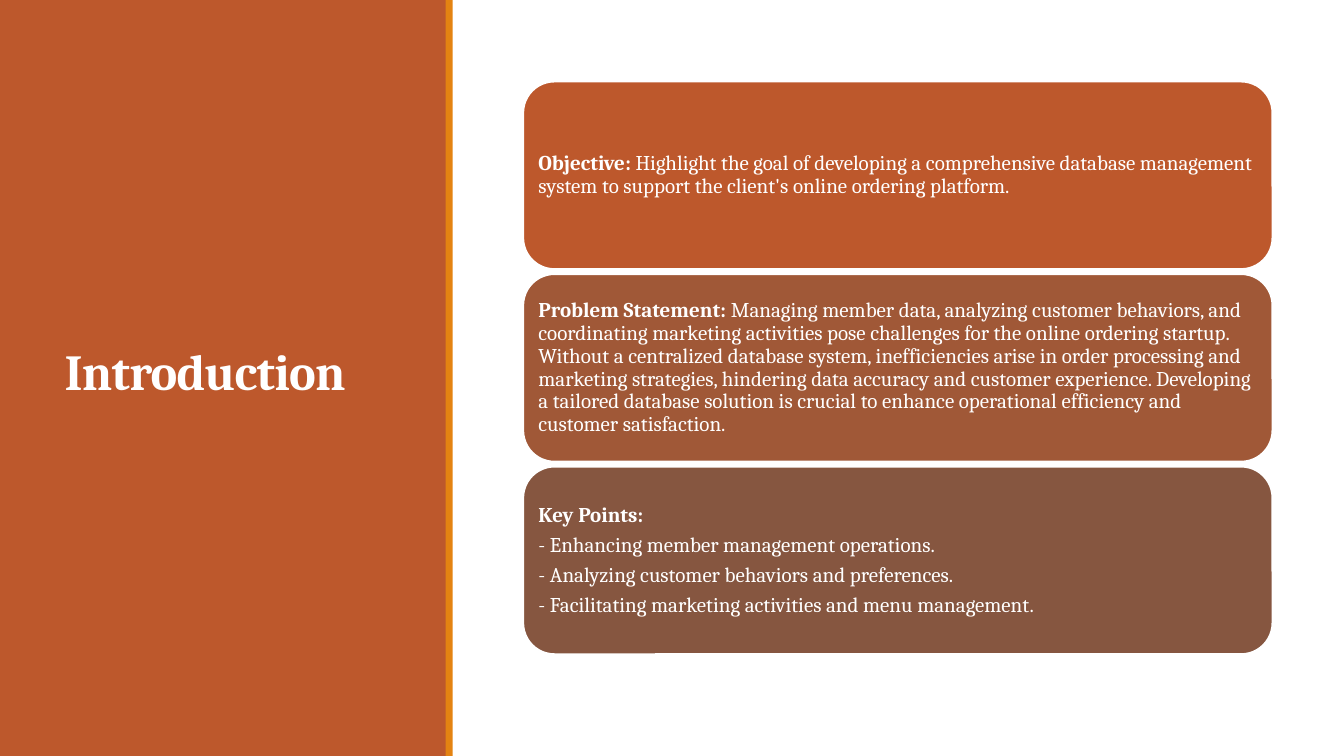
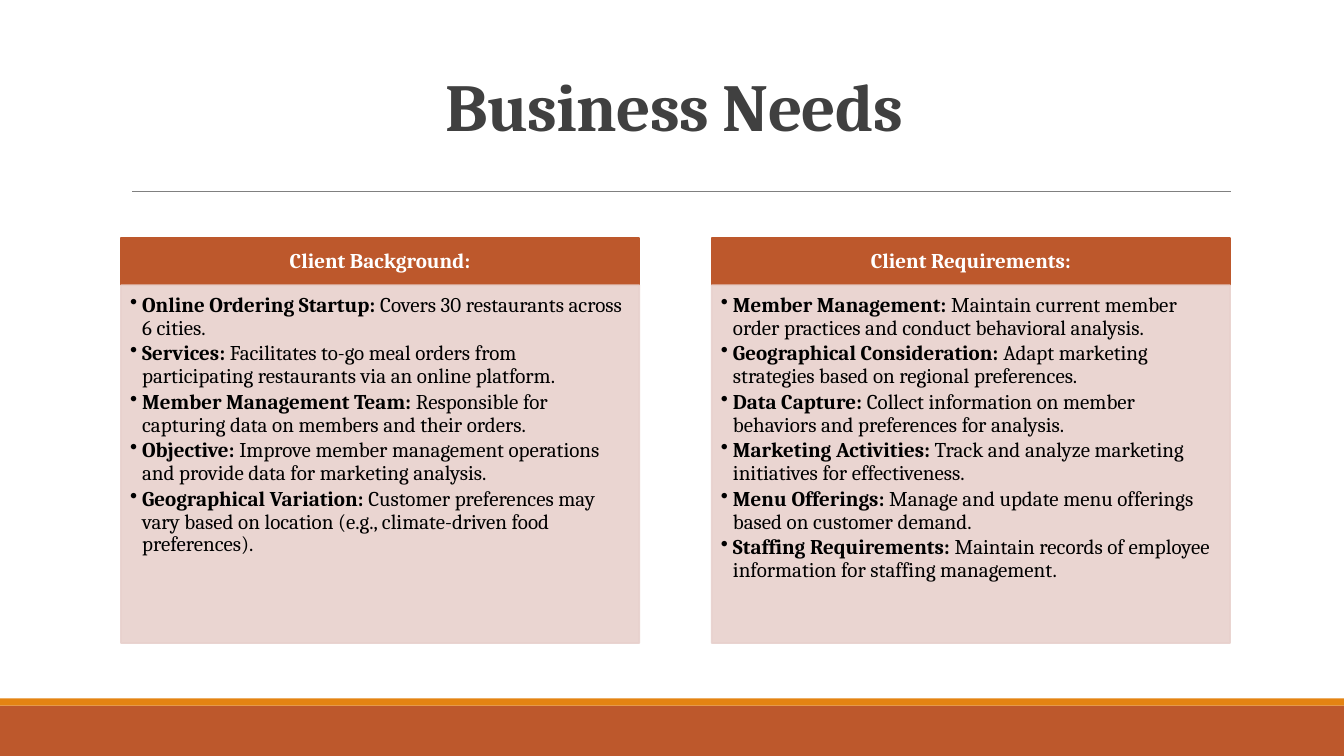
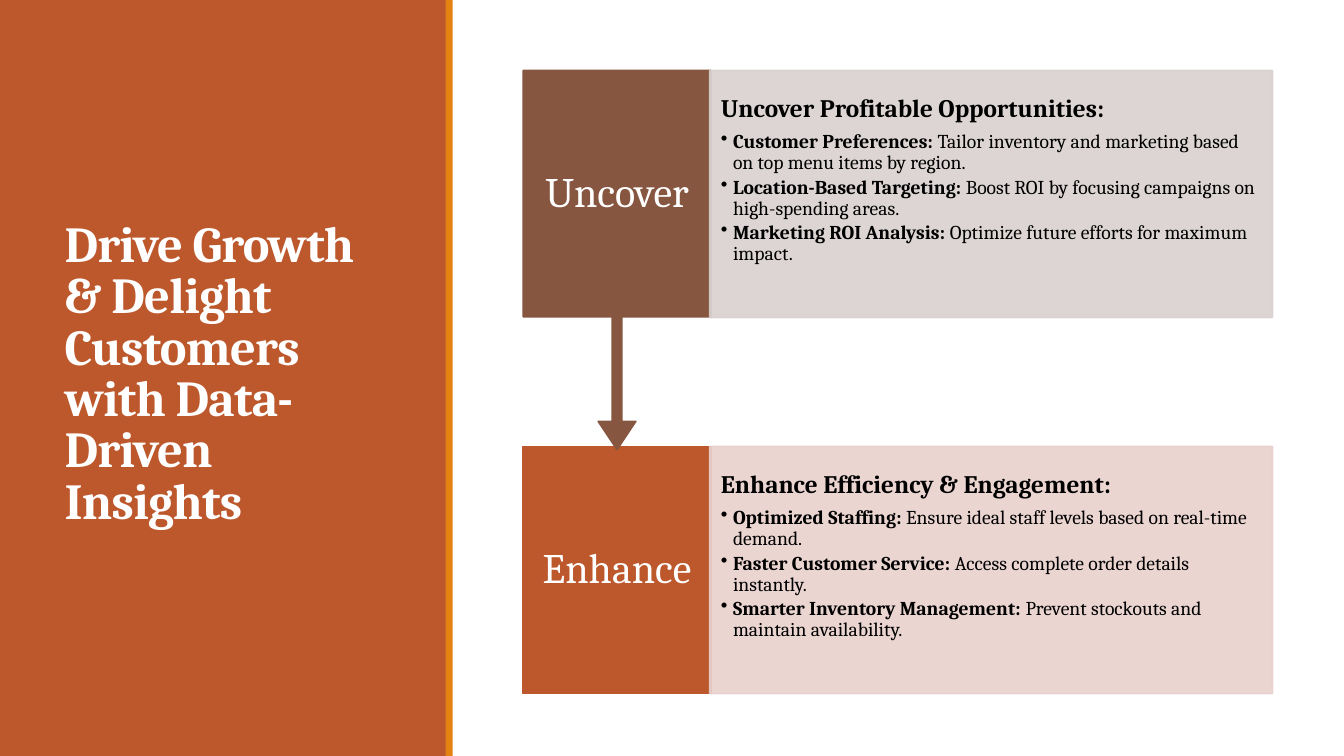
from pptx import Presentation
from pptx.dml.color import RGBColor
from pptx.enum.shapes import MSO_CONNECTOR, MSO_SHAPE as SHAPE
from pptx.enum.text import MSO_ANCHOR as ANCHOR, MSO_AUTO_SIZE, PP_ALIGN as ALIGN
from pptx.oxml.ns import qn
from pptx.util import Inches, Pt
from lxml import etree

FONT = "Cambria"
COLORS = {
    "rust": "BD582C", "sienna": "A05837", "brown": "865640", "orange": "E48312",
    "rose": "E8D1CD", "stone": "D9D1CF", "rule": "808080", "ink": "404040",
    "white": "FFFFFF", "black": "000000",
}


def add_box(slide, kind, place, fill, line=None, margins=(0, 0, 0, 0), anchor=ANCHOR.MIDDLE, opacity=100):
    box = slide.shapes.add_shape(kind, *[Inches(v) for v in place])
    box.shadow.inherit = False
    box.fill.solid()
    box.fill.fore_color.rgb = RGBColor.from_string(COLORS[fill])
    if line:
        box.line.color.rgb = RGBColor.from_string(COLORS[line])
        box.line.width = Pt(1.25)
    else:
        box.line.fill.background()
    if opacity < 100:
        for color in box._element.spPr.iter(qn("a:srgbClr")):
            etree.SubElement(color, qn("a:alpha")).set("val", str(opacity * 1000))
    frame = box.text_frame
    frame.word_wrap = True
    frame.vertical_anchor = anchor
    frame.margin_left, frame.margin_top, frame.margin_right, frame.margin_bottom = [Inches(m) for m in margins]
    return box


def write(frame, lines, size, color, align=ALIGN.LEFT, bullet=False, spacing=0.9):
    """Add (bold, regular) lines to a frame, starting in its first free paragraph."""
    for bold_part, regular_part in lines:
        paragraph = frame.paragraphs[0] if not frame.text else frame.add_paragraph()
        paragraph.alignment = align
        paragraph.line_spacing = spacing
        paragraph.space_before = Pt(0)
        paragraph.space_after = Pt(round(size * (0.15 if bullet else 0.35), 1))
        if bullet:
            paragraph.level = 1
            props = paragraph._p.get_or_add_pPr()
            props.set("marL", str(Inches(0.12)))
            props.set("indent", str(-Inches(0.12)))
            etree.SubElement(props, qn("a:buChar")).set("char", "•")
        paragraph.font.name = FONT
        paragraph.font.size = Pt(size)
        paragraph.font.color.rgb = RGBColor.from_string(COLORS[color])
        for part, bold in ((bold_part, True), (regular_part, False)):
            if part:
                run = paragraph.add_run()
                run.text = part
                run.font.bold = bold


prs = Presentation()
prs.slide_width, prs.slide_height = Inches(13.33), Inches(7.5)

# Slides with their titles and colour bands
side_bands = [((0, 0, 4.43, 7.5), "rust"), ((4.42, 0, 0.07, 7.5), "orange")]
bottom_bands = [((0, 7, 13.33, 0.5), "rust"), ((0, 6.93, 13.33, 0.07), "orange")]
side_title = ((0.54, 0.57, 3.37, 6.31), 36, "white", ANCHOR.MIDDLE)
top_title = ((4.32, 0.65, 5.05, 0.84), 48, "ink", ANCHOR.BOTTOM)
slides = []
for heading, bands, (place, size, color, anchor) in [
    ("Introduction", side_bands, side_title),
    ("Business Needs", bottom_bands, top_title),
    ("Drive Growth & Delight Customers with Data-Driven Insights", side_bands, side_title),
]:
    slide = prs.slides.add_slide(prs.slide_layouts[5])
    for band, fill in bands:
        add_box(slide, SHAPE.RECTANGLE, band, fill)
    title = slide.shapes.title
    slide.shapes._spTree.append(title._element)  # bring the title in front of the bands
    title.left, title.top, title.width, title.height = [Inches(v) for v in place]
    title.text_frame.word_wrap = True
    title.text_frame.auto_size = MSO_AUTO_SIZE.NONE
    title.text_frame.vertical_anchor = anchor
    write(title.text_frame, [(heading, "")], size, color, spacing=0.85)
    title.text_frame.paragraphs[0].space_after = Pt(0)
    title.text_frame.paragraphs[0].runs[0]._r.get_or_add_rPr().set("spc", "-50")
    slides.append(slide)
introduction, needs, insights = slides

# Introduction: three stacked cards
cards = [
    ("rust", [("Objective:", " Highlight the goal of developing a comprehensive database management "
               "system to support the client's online ordering platform.")]),
    ("sienna", [("Problem Statement: ", "Managing member data, analyzing customer behaviors, and coordinating "
                 "marketing activities pose challenges for the online ordering startup. Without a centralized "
                 "database system, inefficiencies arise in order processing and marketing strategies, hindering "
                 "data accuracy and customer experience. Developing a tailored database solution is crucial to "
                 "enhance operational efficiency and customer satisfaction.")]),
    ("brown", [("Key Points:", ""),
               ("", "- Enhancing member management operations."),
               ("", "- Analyzing customer behaviors and preferences."),
               ("", "- Facilitating marketing activities and menu management.")]),
]
for row, (fill, lines) in enumerate(cards):
    card = add_box(introduction, SHAPE.ROUNDED_RECTANGLE, (5.19, 0.81 + row * 1.91, 7.43, 1.86),
                   fill, "white", margins=(0.06,) * 4)
    write(card.text_frame, lines, 15, "white")

# Business needs: rule under the title and two headed lists
rule = needs.shapes.add_connector(MSO_CONNECTOR.STRAIGHT, Inches(1.31), Inches(1.9), Inches(12.21), Inches(1.9))
rule.line.color.rgb = RGBColor.from_string(COLORS["rule"])
rule.line.width = Pt(0.5)
etree.SubElement(rule._element.spPr, qn("a:effectLst"))

columns = [
    ("Client Background:", [
        ("Online Ordering Startup:", " Covers 30 restaurants across 6 cities."),
        ("Services:", " Facilitates to-go meal orders from participating restaurants via an online platform."),
        ("Member Management Team:", " Responsible for capturing data on members and their orders."),
        ("Objective:", " Improve member management operations and provide data for marketing analysis."),
        ("Geographical Variation:", " Customer preferences may vary based on location "
         "(e.g., climate-driven food preferences)."),
    ]),
    ("Client Requirements:", [
        ("Member Management:", " Maintain current member order practices and conduct behavioral analysis."),
        ("Geographical Consideration:", " Adapt marketing strategies based on regional preferences."),
        ("Data Capture:", " Collect information on member behaviors and preferences for analysis."),
        ("Marketing Activities:", " Track and analyze marketing initiatives for effectiveness."),
        ("Menu Offerings:", " Manage and update menu offerings based on customer demand."),
        ("Staffing Requirements:", " Maintain records of employee information for staffing management."),
    ]),
]
for column, (heading, points) in enumerate(columns):
    left = 1.2 + column * 5.86
    header = add_box(needs, SHAPE.RECTANGLE, (left, 2.36, 5.14, 0.47), "rust", "rust",
                     margins=(0.12, 0.07, 0.12, 0.07))
    write(header.text_frame, [(heading, "")], 15, "white", ALIGN.CENTER)
    body = add_box(needs, SHAPE.RECTANGLE, (left, 2.83, 5.14, 3.55), "rose", "rose",
                   margins=(0.09, 0.09, 0.12, 0.13), anchor=ANCHOR.TOP, opacity=90)
    write(body.text_frame, points, 15, "black", bullet=True)

# Insights: two steps from the bottom up, so that the arrow lies over the lower one
steps = [
    ("Enhance", SHAPE.RECTANGLE, 4.43, 2.45, "rust", "rose", "Enhance Efficiency & Engagement:", [
        ("Optimized Staffing: ", "Ensure ideal staff levels based on real-time demand."),
        ("Faster Customer Service: ", "Access complete order details instantly."),
        ("Smarter Inventory Management: ", "Prevent stockouts and maintain availability."),
    ]),
    ("Uncover", SHAPE.DOWN_ARROW_CALLOUT, 0.7, 3.76, "brown", "stone", "Uncover Profitable Opportunities:", [
        ("Customer Preferences: ", "Tailor inventory and marketing based on top menu items by region."),
        ("Location-Based Targeting: ", "Boost ROI by focusing campaigns on high-spending areas."),
        ("Marketing ROI Analysis: ", "Optimize future efforts for maximum impact."),
    ]),
]
for verb, kind, top, height, fill, tint, heading, points in steps:
    step = add_box(insights, kind, (5.19, top, 1.86, height), fill, fill, margins=(0.13, 0.23, 0.13, 0.23))
    if kind == SHAPE.DOWN_ARROW_CALLOUT:
        for index, value in enumerate((0.05, 0.1, 0.15, 0.65)):
            step.adjustments[index] = value
    write(step.text_frame, [("", verb)], 30, "white", ALIGN.CENTER)
    detail = add_box(insights, SHAPE.RECTANGLE, (7.04, top, 5.58, 2.45), tint, tint,
                     margins=(0.11, 0.25, 0.11, 0.25), anchor=ANCHOR.TOP, opacity=90)
    write(detail.text_frame, [(heading, "")], 18, "black")
    write(detail.text_frame, points, 14, "black", bullet=True)

prs.save("out.pptx")
